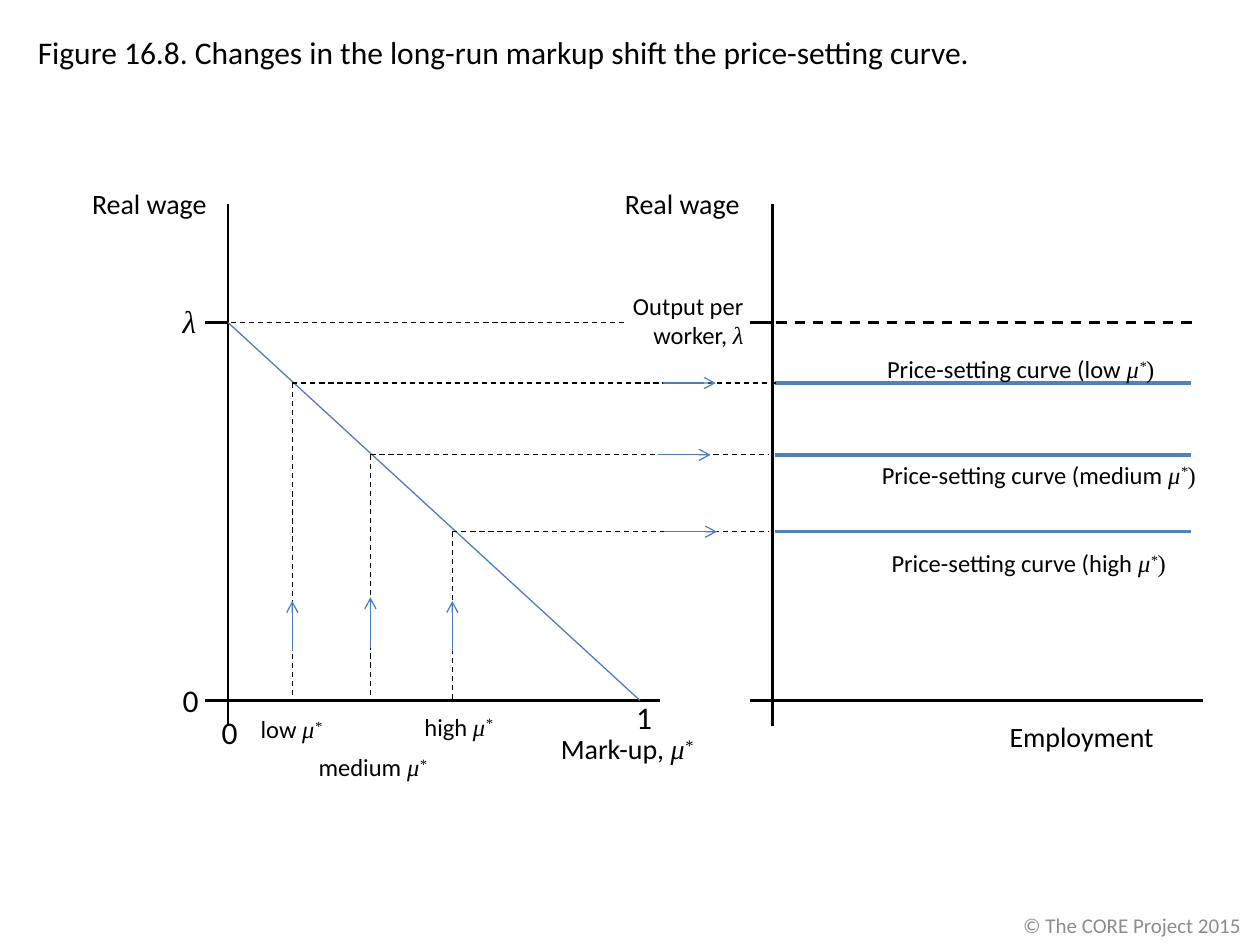
from itertools import groupby

from lxml import etree
from pptx import Presentation
from pptx.dml.color import RGBColor
from pptx.enum.dml import MSO_LINE
from pptx.enum.shapes import MSO_CONNECTOR as CONNECTOR
from pptx.enum.text import MSO_ANCHOR as ANCHOR, MSO_AUTO_SIZE as AUTO_SIZE, PP_ALIGN as ALIGN
from pptx.oxml.ns import qn
from pptx.util import Inches, Pt

COLORS = {"ink": "000000", "curve": "4F81BD", "guide": "4B7EBC", "credit": "8C8C8C"}

deck = Presentation()
deck.slide_width, deck.slide_height = Inches(10), Inches(7.5)
page = deck.slides.add_slide(deck.slide_layouts[5])


def add_line(x1, y1, x2, y2, color="ink", width=1.5, dashed=False, arrow=False):
    line = page.shapes.add_connector(
        CONNECTOR.STRAIGHT, Inches(x1), Inches(y1), Inches(x2), Inches(y2))
    line.line.color.rgb = RGBColor.from_string(COLORS[color])
    line.line.width = Pt(width)
    if dashed:
        line.line.dash_style = MSO_LINE.DASH
    if arrow:
        etree.SubElement(line.line._get_or_add_ln(), qn("a:tailEnd"), type="arrow")
    etree.SubElement(line._element.spPr, qn("a:effectLst"))


def add_label(text, left, top, width, height, size, align=ALIGN.LEFT, color="ink", wrap=True):
    """Add a text box; Greek letters, the raised star and its bracket are in Times."""
    box = page.shapes.add_textbox(Inches(left), Inches(top), Inches(width), Inches(height))
    box.text_frame.word_wrap = wrap
    para = box.text_frame.paragraphs[0]
    para.alignment = align
    para.font.size = Pt(size)
    para.font.color.rgb = RGBColor.from_string(COLORS[color])
    for kind, letters in groupby(text, lambda letter: letter if letter in "λμ*)" else "plain"):
        span = para.add_run()
        span.text = "".join(letters)
        span.font.name = "Calibri" if kind == "plain" else "Times New Roman"
        if kind in "λμ*":
            span.font.italic = True
        if kind == "*":
            span._r.get_or_add_rPr().set("baseline", "30000")
    return box


# Title
title = page.shapes.title
title.left, title.top, title.width, title.height = [Inches(n) for n in (0.2, 0.21, 9.13, 0.4)]
frame = title.text_frame
frame.text = "Figure 16.8. Changes in the long-run markup shift the price-setting curve."
frame.auto_size = AUTO_SIZE.NONE
frame.vertical_anchor = ANCHOR.TOP
heading = frame.paragraphs[0]
heading.alignment = ALIGN.LEFT
heading.font.name = "Calibri"
heading.font.size = Pt(18)
heading.font.color.rgb = RGBColor.from_string(COLORS["ink"])

# Axes of both panels, each with two ticks and a stub below the origin
BASE, OUTPUT = 5.56, 2.56
for origin, end, label_left in ((1.81, 5.24, 0.12), (6.13, 9.55, 4.35)):
    add_line(origin, BASE, end, BASE)
    add_line(origin, 1.62, origin, BASE)
    add_line(origin, BASE, origin, BASE + 0.2)
    for tick in (BASE, OUTPUT):
        add_line(origin - 0.18, tick, origin, tick)
    add_label("Real wage", label_left, 1.43, 2.13, 0.37, 16, ALIGN.CENTER)
add_label("Mark-up, μ*", 3.26, 5.76, 3.43, 0.37, 16, ALIGN.CENTER)
add_label("Employment", 6.87, 5.66, 3.43, 0.37, 16, ALIGN.CENTER)

# Output per worker
add_line(1.83, OUTPUT, 4.97, OUTPUT, width=0.75, dashed=True)
add_line(6.16, OUTPUT, 9.46, OUTPUT, dashed=True)
add_label("Output per worker, λ", 4.56, 2.26, 1.44, 0.57, 14, ALIGN.RIGHT)

# Real wage falling with the markup
add_line(1.81, OUTPUT, 5.08, BASE, "guide", 0.75)

# Each markup: price-setting curve, dashed guides and arrows
levels = (
    # markup, wage, guide end, up arrow start, right arrow start
    (2.32, 3.04, 6.17, 5.17, 5.26),
    (2.94, 3.61, 6.1, 5.14, 5.22),
    (3.59, 4.22, 6.1, 5.17, 5.27),
)
for markup, wage, guide_end, up_start, right_start in levels:
    add_line(6.15, wage, 9.45, wage, "curve", 2)
    add_line(markup, wage, markup, BASE, width=0.75, dashed=True)
    add_line(markup, wage, guide_end, wage, width=0.75, dashed=True)
    add_line(markup, up_start, markup, up_start - 0.4, "guide", 0.75, arrow=True)
    add_line(right_start, wage, right_start + 0.42, wage, "guide", 0.75, arrow=True)

# Markup and curve names
for name, left, top, width in (
        ("low", 1.97, 5.62, 0.7), ("medium", 2.43, 5.92, 1.07), ("high", 3.27, 5.6, 0.75)):
    add_label(f"{name} μ*", left, top, width, 0.34, 14, wrap=False)
for name, left, top, width in (
        ("low", 6.7, 2.76, 2.56), ("medium", 6.86, 3.6, 2.73), ("high", 6.97, 4.3, 2.38)):
    add_label(f"Price-setting curve ({name} μ*)", left, top, width, 0.34, 14, ALIGN.RIGHT)

# Axis values
for value, left, top in (("1", 4.95, 5.49), ("0", 1.35, 5.36), ("0", 1.66, 5.61), ("λ", 1.35, 2.35)):
    add_label(value, left, top, 0.29, 0.4, 18)

# Credit
credit = add_label("© The CORE Project 2015", 7.97, 7.19, 2.03, 0.31, 12, ALIGN.CENTER, "credit")
credit.text_frame.vertical_anchor = ANCHOR.MIDDLE

deck.save("out.pptx")
